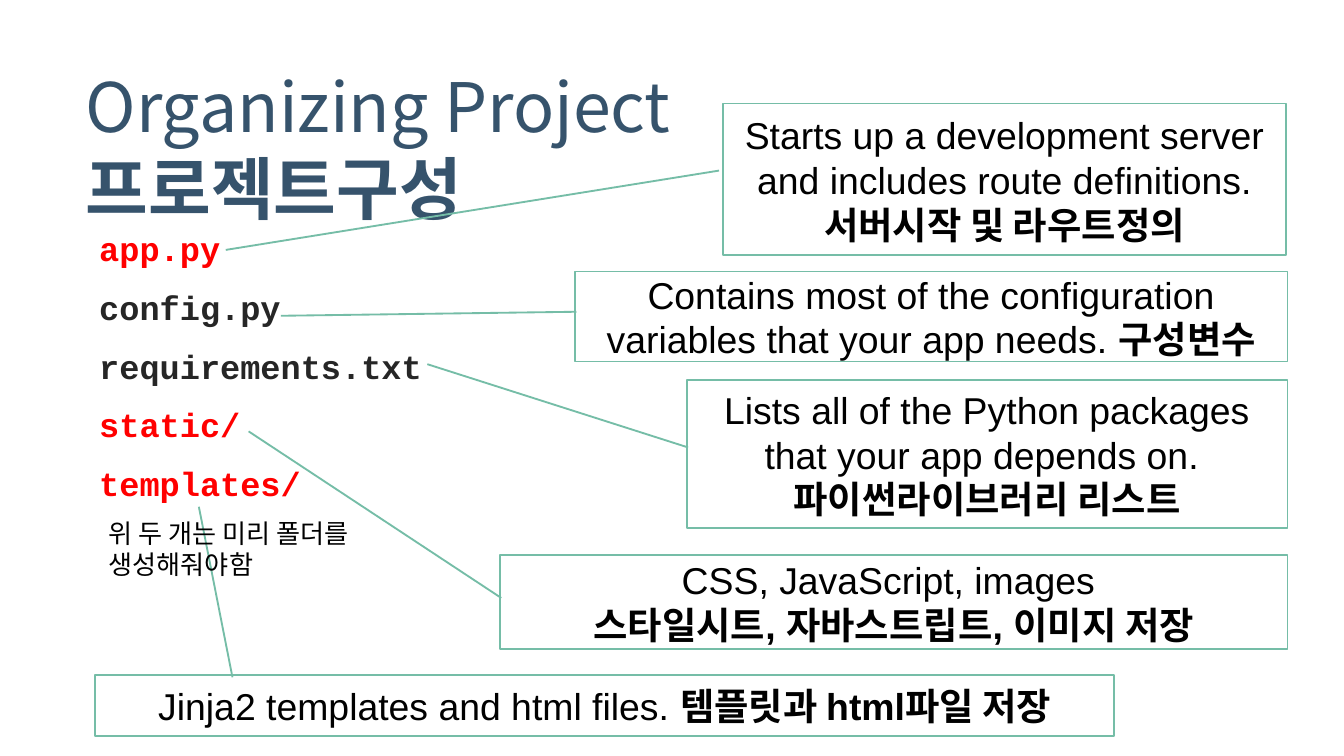
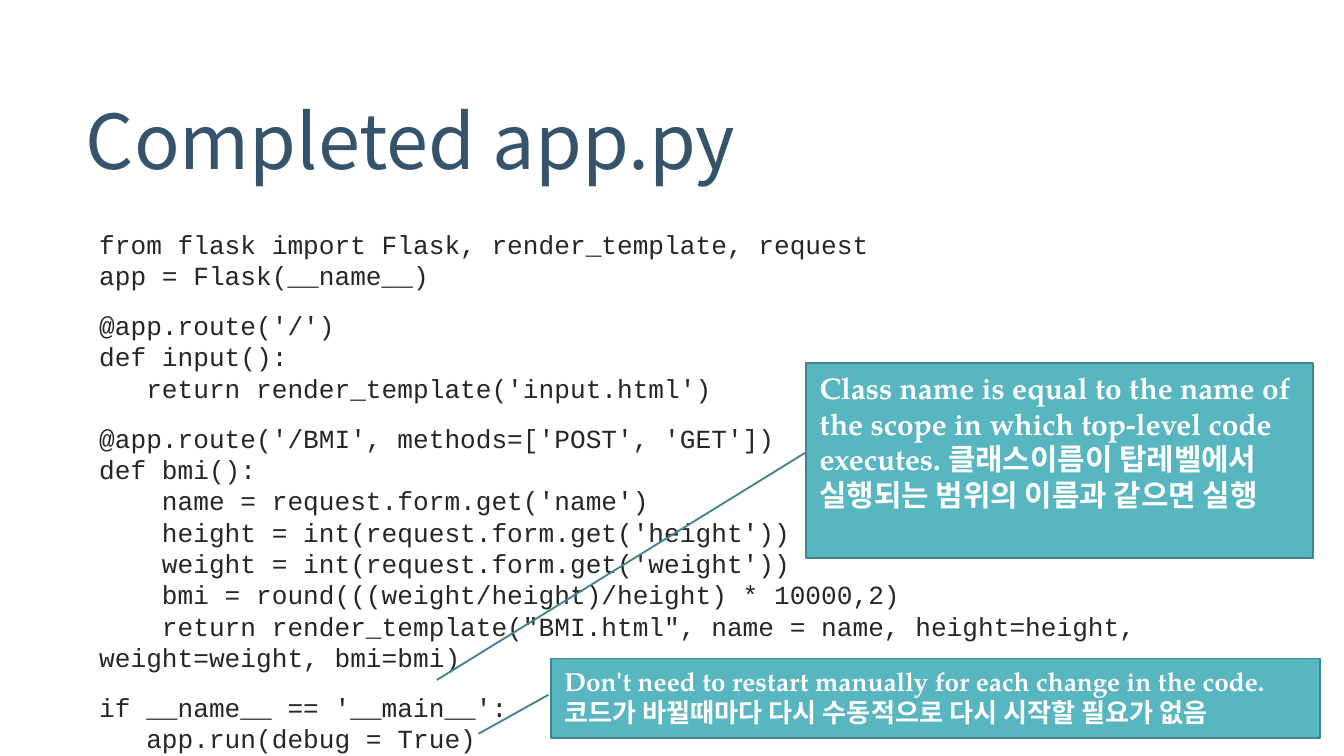
from lxml import etree
from pptx import Presentation, util as u
from pptx.dml.color import RGBColor
from pptx.enum import shapes, text
from pptx.oxml.ns import qn

COLORS = {
    "title": "36536C",
    "code": "262626",
    "highlight": "FF0000",
    "black": "000000",
    "white": "FFFFFF",
    "green": "75BDA7",
    "teal": "58B6C0",
    "teal_line": "40848C",
}
SANS, MONO, CJK, SERIF = "Arial", "Courier New", "Noto Sans CJK KR", "TeX Gyre Pagella"


def format_run(run, font, size, color, bold=False):
    run.font.name = font
    run.font.size = u.Pt(size)
    run.font.bold = bold
    run.font.color.rgb = RGBColor.from_string(COLORS[color])
    east_asian = etree.SubElement(run._r.get_or_add_rPr(), qn("a:ea"))
    east_asian.set("typeface", CJK)


def add_text_box(slide, left, top, width, height):
    shape = slide.shapes.add_textbox(*map(u.Inches, (left, top, width, height)))
    shape.text_frame.word_wrap = True
    return shape


presentation = Presentation()
presentation.slide_width = u.Inches(10)
presentation.slide_height = u.Inches(10 * 9 / 16)

project_files = [
    ("app.py", "highlight"),
    ("config.py", "code"),
    ("requirements.txt", "code"),
    ("static/", "highlight"),
    ("templates/", "highlight"),
]
code_blocks = [
    """from flask import Flask, render_template, request
app = Flask(__name__)""",
    """@app.route('/')
def input():
   return render_template('input.html')""",
    """@app.route('/BMI', methods=['POST', 'GET'])
def bmi():
    name = request.form.get('name')
    height = int(request.form.get('height'))
    weight = int(request.form.get('weight'))
    bmi = round(((weight/height)/height) * 10000,2)
    return render_template("BMI.html", name = name, height=height, weight=weight, bmi=bmi)""",
    """if __name__ == '__main__':
   app.run(debug = True)""",
]

file_callouts = [
    ((5.11, 2.83, 4.47, 1.1), (5.12, 3.33), (3.18, 2.71), 20,
     "Lists all of the Python packages that your app depends on.  ", "파이썬라이브러리 리스트"),
    ((5.38, 0.77, 4.19, 1.13), (5.35, 1.27), (1.68, 1.86), 20,
     "Starts up a development server and includes route definitions. ", "서버시작 및 라우트정의"),
    ((4.28, 2.02, 5.3, 0.67), (4.29, 2.32), (2.09, 2.35), 20,
     "Contains most of the configuration variables that your app needs. ", "구성변수"),
    ((3.72, 4.13, 5.86, 0.7), (3.73, 4.45), (1.85, 3.21), 20,
     "CSS, JavaScript, images \n", "스타일시트, 자바스트립트, 이미지 저장"),
    ((0.71, 5.02, 7.58, 0.46), (1.73, 5.04), (1.48, 3.77), 20,
     "Jinja2 templates and html files. ", "템플릿과 html파일 저장"),
]
code_callouts = [
    ((4.1, 4.9, 5.72, 0.59), (4.08, 5.17), (3.56, 5.46), 14,
     "Don't need to restart manually for each change in the code. ",
     "코드가 바뀔때마다 다시 수동적으로 다시 시작할 필요가 없음"),
    ((6, 2.7, 3.77, 1.45), (5.99, 3.37), (3.25, 5.06), 16,
     "Class name is equal to the name of the scope in which top-level code executes. ",
     "클래스이름이 탑레벨에서 실행되는 범위의 이름과 같으면 실행"),
]
file_style = {
    "fill": "white", "line": "green", "text": "black", "fonts": (SANS, SANS), "bold": False,
    "align": text.PP_ALIGN.CENTER, "anchor": text.MSO_ANCHOR.MIDDLE,
}
code_style = {
    "fill": "teal", "line": "teal_line", "text": "white", "fonts": (SERIF, CJK), "bold": True,
    "align": text.PP_ALIGN.LEFT, "anchor": text.MSO_ANCHOR.TOP,
}

pages = [
    ("Organizing Project\n", "프로젝트구성", 36.5, 1.0, project_files, 18, True,
     file_callouts, file_style),
    ("Completed app.py", "", 40.5, 0.85, [(block, "code") for block in code_blocks], 14, False,
     code_callouts, code_style),
]

for title, subtitle, title_size, spacing, lines, body_size, body_bold, callouts, style in pages:
    slide = presentation.slides.add_slide(presentation.slide_layouts[6])

    title_box = add_text_box(slide, 0.54, 0.41, 8.84, 1.36)
    title_box.text_frame.vertical_anchor = text.MSO_ANCHOR.MIDDLE
    paragraph = title_box.text_frame.paragraphs[0]
    paragraph.text = title
    paragraph.line_spacing = spacing
    format_run(paragraph.runs[0], CJK, title_size, "title")
    if subtitle:
        run = paragraph.add_run()
        run.text = subtitle
        format_run(run, CJK, title_size, "title", True)

    body_box = add_text_box(slide, 0.56, 1.65, 8.82, 3.09)
    for index, (line, color) in enumerate(lines):
        frame = body_box.text_frame
        paragraph = frame.add_paragraph() if index else frame.paragraphs[0]
        paragraph.text = line
        paragraph.space_before = u.Pt(9.8 if index else 0)
        paragraph._p.get_or_add_pPr().set("marL", str(u.Inches(0.08)))
        for run in paragraph.runs:
            format_run(run, MONO, body_size, color, body_bold)

    for box, start, end, size, english, korean in callouts:
        left, top, width, height = box
        callout = slide.shapes.add_shape(shapes.MSO_SHAPE.LINE_CALLOUT_1, *map(u.Inches, box))
        for index, (x, y) in enumerate((start, end)):
            callout.adjustments[2 * index] = (y - top) / height
            callout.adjustments[2 * index + 1] = (x - left) / width
        callout.shadow.inherit = False
        callout.fill.solid()
        callout.fill.fore_color.rgb = RGBColor.from_string(COLORS[style["fill"]])
        callout.line.color.rgb = RGBColor.from_string(COLORS[style["line"]])
        callout.line.width = u.Pt(1)
        callout.text_frame.word_wrap = True
        callout.text_frame.vertical_anchor = style["anchor"]
        paragraph = callout.text_frame.paragraphs[0]
        paragraph.text = english
        paragraph.alignment = style["align"]
        paragraph.add_run().text = korean
        for run, font, bold in zip(paragraph.runs, style["fonts"], (style["bold"], True)):
            format_run(run, font, size, style["text"], bold)

folder_note = add_text_box(presentation.slides[0], 0.71, 3.8, 2.22, 0.57)
paragraph = folder_note.text_frame.paragraphs[0]
paragraph.text = "위 두 개는 미리 폴더를 생성해줘야함"
format_run(paragraph.runs[0], SANS, 14, "black")

presentation.save("out.pptx")
